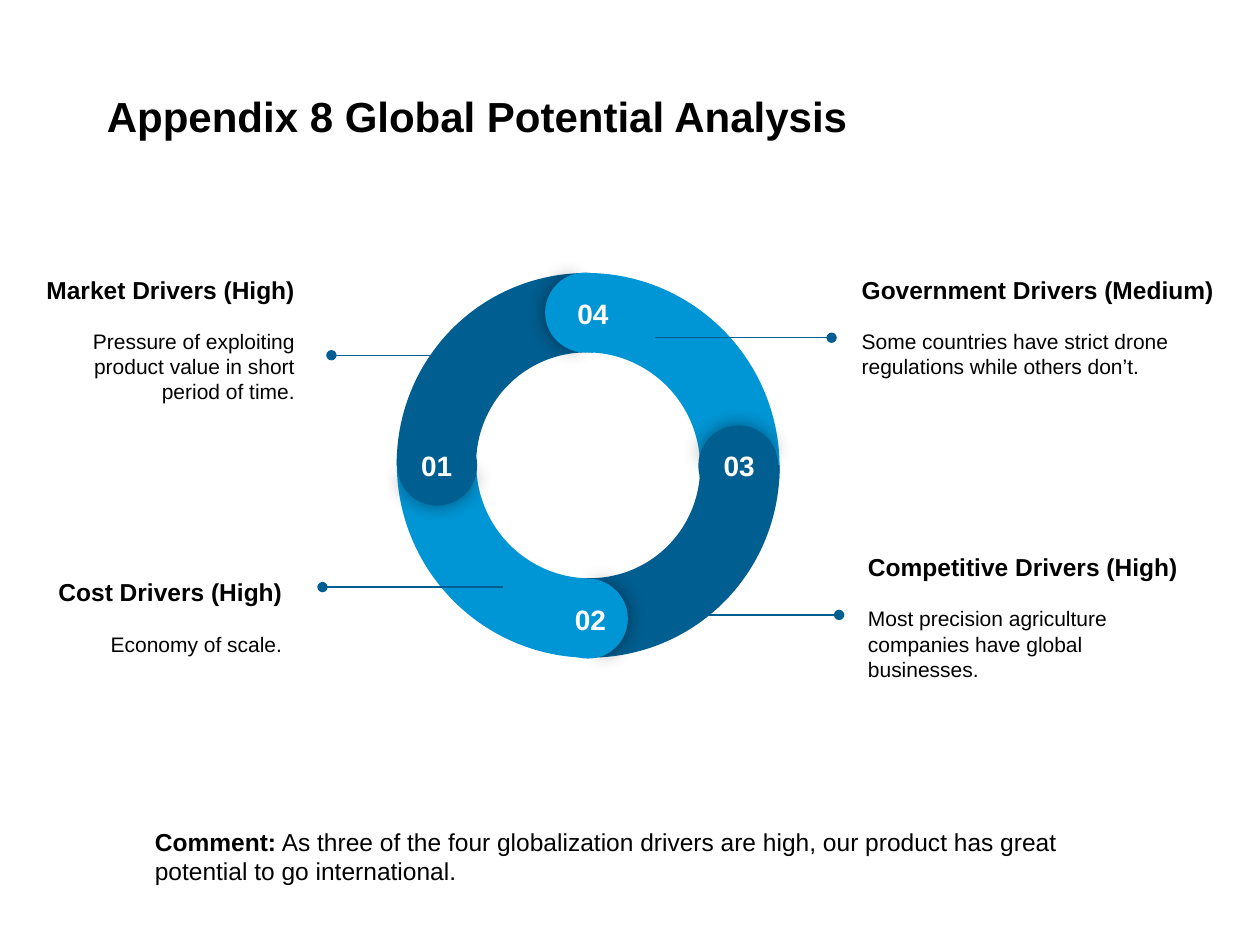
import pptx
import pptx.util
import pptx.dml.color
import pptx.enum.shapes
import pptx.enum.text
from lxml import etree
from pptx.oxml.ns import qn

Pt = pptx.util.Pt
SHAPE = pptx.enum.shapes.MSO_SHAPE
ALIGN = pptx.enum.text.PP_ALIGN
ANCHOR = pptx.enum.text.MSO_ANCHOR

LIGHT, DARK, BLACK, WHITE = "0096D6", "005E90", "000000", "FFFFFF"


def rgb(code):
    return pptx.dml.color.RGBColor.from_string(code)


class DriverSlide:
    font = "Arial"
    inset = 7.2
    ring_centre = (336.1, 265.9)
    cap_size = 45.7

    def __init__(self, slide):
        self.slide = slide

    def shape(self, kind, centre, size, turn, degrees, color):
        (x, y), (w, h) = centre, size
        shape = self.slide.shapes.add_shape(
            kind, Pt(x - w / 2), Pt(y - h / 2), Pt(w), Pt(h))
        shape.shadow.inherit = False
        shape.rotation = turn
        shape.fill.solid()
        shape.fill.fore_color.rgb = rgb(color)
        shape.line.fill.background()
        # Adjustments count 100000ths, angles count 60000ths of a degree
        for i, angle in enumerate(degrees):
            shape.adjustments[i] = angle * 0.6
        return shape

    def arc(self, size, turn, start, end, color):
        arc = self.shape(SHAPE.BLOCK_ARC, self.ring_centre, size, turn,
                         (start, end), color)
        arc.adjustments[2] = 0.208

    def glow(self, shape):
        effects = shape._element.spPr.find(qn("a:effectLst"))
        shadow = etree.SubElement(effects, qn("a:outerShdw"),
                                  blurRad=str(Pt(11.2)), dist="0", dir="0",
                                  algn="ctr", rotWithShape="0")
        color = etree.SubElement(shadow, qn("a:srgbClr"), val=BLACK)
        etree.SubElement(color, qn("a:alpha"), val="43000")

    def cap(self, centre, turn, color):
        size = (self.cap_size, self.cap_size)
        self.glow(self.shape(SHAPE.PIE, centre, size, turn + 0.7,
                             (103.2, 249.9), color))
        self.shape(SHAPE.PIE, centre, size, (turn + 180) % 360,
                   (67.1, 286.4), color)

    def text(self, box, paragraphs, align=ALIGN.LEFT, anchor=ANCHOR.TOP,
             color=BLACK, gap=0, fill=None):
        """Each paragraph is a list of (words, size, bold) runs."""
        area = self.slide.shapes.add_textbox(*map(Pt, box))
        if fill:
            area.fill.solid()
            area.fill.fore_color.rgb = rgb(fill)
        frame = area.text_frame
        frame.word_wrap = True
        frame.vertical_anchor = anchor
        frame.margin_left = frame.margin_right = Pt(self.inset)
        frame.margin_top = frame.margin_bottom = Pt(self.inset)
        for i, runs in enumerate(paragraphs):
            paragraph = frame.add_paragraph() if i else frame.paragraphs[0]
            paragraph.alignment = align
            if i:
                paragraph.space_before = Pt(gap)
            for words, size, bold in runs:
                run = paragraph.add_run()
                run.text = words
                run.font.name = self.font
                run.font.size = Pt(size)
                run.font.bold = bold
                run.font.color.rgb = rgb(color)

    def driver(self, box, heading, detail, align, anchor):
        self.text(box, [[(heading, 14, True)], [(detail, 12, False)]],
                  align, anchor, gap=13.8)

    def leader(self, start, end, y):
        line = self.slide.shapes.add_connector(
            pptx.enum.shapes.MSO_CONNECTOR.STRAIGHT,
            Pt(start), Pt(y), Pt(end), Pt(y))
        line.line.color.rgb = rgb(DARK)
        line.line.width = Pt(0.75)
        etree.SubElement(line.line._get_or_add_ln(), qn("a:tailEnd"),
                         type="oval")
        etree.SubElement(line._element.spPr, qn("a:effectLst"))


def main():
    deck = pptx.Presentation()
    deck.slide_width, deck.slide_height = Pt(720), Pt(540)
    page = DriverSlide(deck.slides.add_slide(deck.slide_layouts[6]))

    # Title
    page.text((54, 44.5, 610.5, 44),
              [[("Appendix 8 Global Potential Analysis", 24, True)]])

    # Ring
    wide, tall = (220.3, 218.2), (218.2, 220.3)
    page.arc(wide, 240.5, 210.4, 302.9, LIGHT)
    page.arc(tall, 329.5, 210.4, 302.9, DARK)
    page.arc(wide, 60.5, 209.4, 305.8, LIGHT)
    page.arc(tall, 149.5, 210.4, 301.4, DARK)

    # Rounded ends with their numbers
    ends = [
        ("03", (421.9, 266), 90, DARK, (402.5, 249.1), None),
        ("02", (335.9, 353.5), 180, LIGHT, (317.5, 337), None),
        ("01", (249.8, 266), 270, DARK, (229.7, 249.1), DARK),
        ("04", (334.4, 178.6), 0, LIGHT, (319, 162), LIGHT),
    ]
    for number, centre, turn, color, corner, fill in ends:
        page.cap(centre, turn, color)
        page.text((*corner, 39.6, 20.9), [[(number, 16, True)]],
                  ALIGN.CENTER, color=WHITE, fill=fill)

    # Drivers: left, width, heading, detail, leader start, end and height
    upper, lower, height = 149.8, 301, 103
    drivers = [
        (19.4, upper, 156.2, "Market Drivers (High)",
         "Pressure of exploiting product value in short period of time.",
         (266.4, 189.4, 203)),
        (1.4, lower, 167, "Cost Drivers (High)", "Economy of scale.",
         (287.3, 184.3, 335.5)),
        (485.3, upper, 231.1, "Government Drivers (Medium)",
         "Some countries have strict drone regulations while others don’t.",
         (374.4, 475.2, 193)),
        (488.9, lower, 195.1, "Competitive Drivers (High)",
         "Most precision agriculture companies have global businesses.",
         (378, 479.5, 351.4)),
    ]
    for left, top, width, heading, detail, leader in drivers:
        page.driver((left, top, width, height), heading, detail,
                    ALIGN.RIGHT if left < 360 else ALIGN.LEFT,
                    ANCHOR.TOP if top == upper else ANCHOR.MIDDLE)
        page.leader(*leader)

    # Comment
    page.text((81.4, 430.6, 532, 117.4), [[
        ("Comment:", 14, True),
        (" As three of the four globalization drivers are high, our product "
         "has great potential to go international.", 14, False),
    ]], anchor=ANCHOR.MIDDLE)

    deck.save("out.pptx")


if __name__ == "__main__":
    main()
